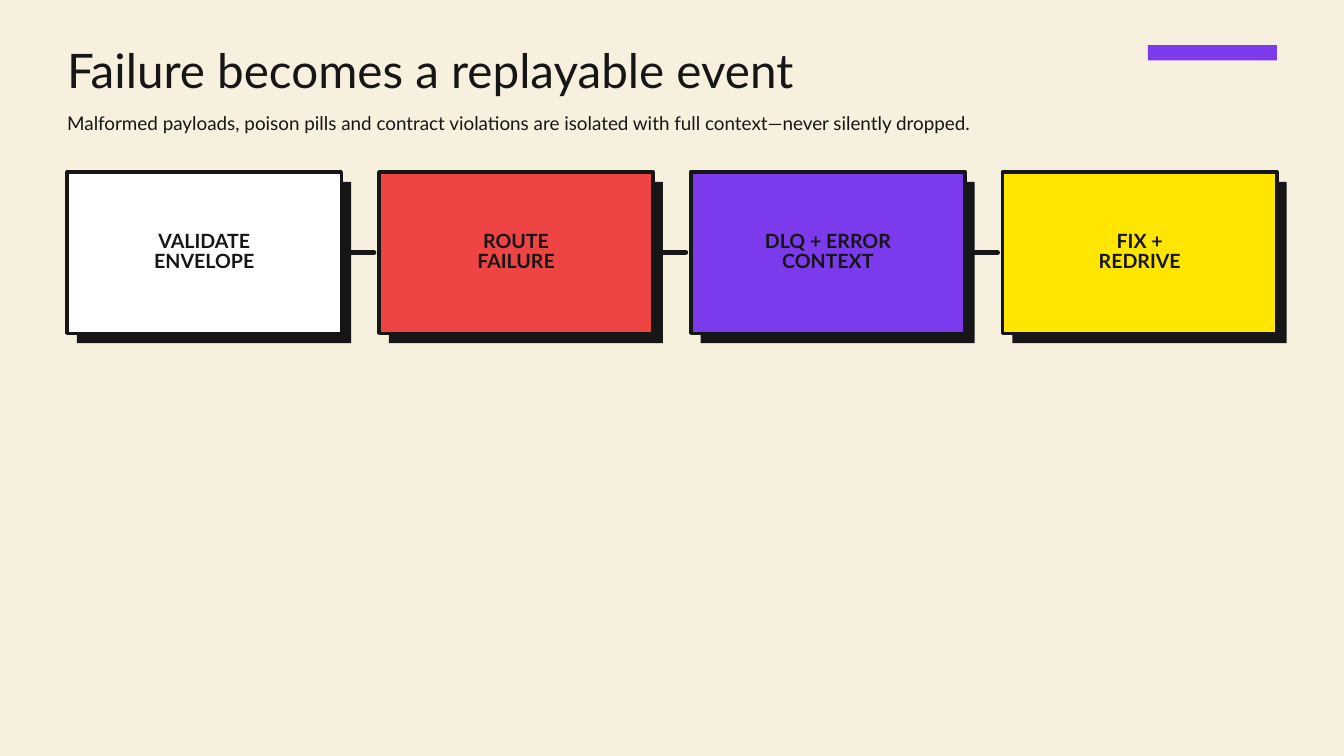
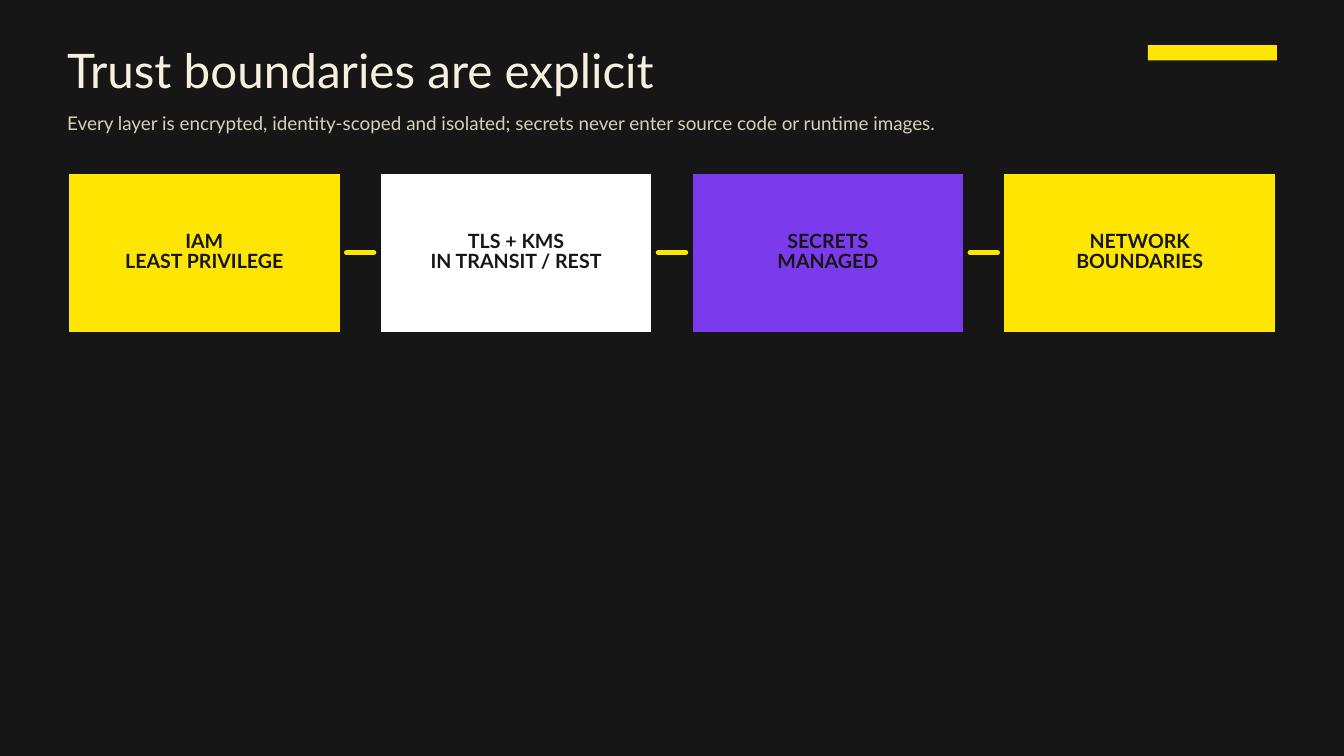
from lxml import etree
from pptx import Presentation
from pptx.dml.color import RGBColor
from pptx.enum.shapes import MSO_CONNECTOR, MSO_SHAPE
from pptx.enum.text import MSO_ANCHOR, MSO_AUTO_SIZE, PP_ALIGN
from pptx.oxml.ns import qn
from pptx.util import Inches, Pt

RECT = MSO_SHAPE.RECTANGLE
STRAIGHT = MSO_CONNECTOR.STRAIGHT
TOP, MIDDLE = MSO_ANCHOR.TOP, MSO_ANCHOR.MIDDLE
LEFT, CENTER = PP_ALIGN.LEFT, PP_ALIGN.CENTER
NO_FIT = MSO_AUTO_SIZE.NONE

INK = RGBColor(0x16, 0x16, 0x16)
CREAM = RGBColor(0xF7, 0xF0, 0xDF)
SAND = RGBColor(0xD7, 0xCF, 0xBD)
WHITE = RGBColor(0xFF, 0xFF, 0xFF)
RED = RGBColor(0xEF, 0x44, 0x44)
PURPLE = RGBColor(0x7C, 0x3A, 0xED)
YELLOW = RGBColor(0xFF, 0xE6, 0x00)

FONT = "Lato"
TITLE_ONLY = 5
MARGIN, CONTENT_W = 1, 18
CARD_W = 4.08
SHADOW_OFFSET = 0.145
LINK_GAP, LINK_W = 0.08, 0.4

SLIDES = [
    dict(
        title="Failure becomes a replayable event",
        subtitle="Malformed payloads, poison pills and contract violations are "
                 "isolated with full context—never silently dropped.",
        bg=CREAM, title_color=INK, subtitle_color=INK, accent=PURPLE, link=INK,
        cards=[(("VALIDATE", "ENVELOPE"), WHITE),
               (("ROUTE", "FAILURE"), RED),
               (("DLQ + ERROR", "CONTEXT"), PURPLE),
               (("FIX +", "REDRIVE"), YELLOW)],
    ),
    dict(
        title="Trust boundaries are explicit",
        subtitle="Every layer is encrypted, identity-scoped and isolated; "
                 "secrets never enter source code or runtime images.",
        bg=INK, title_color=CREAM, subtitle_color=SAND, accent=YELLOW, link=YELLOW,
        cards=[(("IAM", "LEAST PRIVILEGE"), YELLOW),
               (("TLS + KMS", "IN TRANSIT / REST"), WHITE),
               (("SECRETS", "MANAGED"), PURPLE),
               (("NETWORK", "BOUNDARIES"), YELLOW)],
    ),
]


def write(sp, *lines, size, color, leading, bold=False, align=LEFT, anchor=TOP, inset=0):
    """Fill a shape with one formatted paragraph per line."""
    tf = sp.text_frame
    tf.word_wrap = True
    tf.auto_size = NO_FIT
    tf.vertical_anchor = anchor
    tf.margin_left = tf.margin_right = tf.margin_top = tf.margin_bottom = Inches(inset)
    for i, line in enumerate(lines):
        p = tf.add_paragraph() if i else tf.paragraphs[0]
        p.alignment = align
        p.line_spacing = Pt(leading)
        p.space_before = p.space_after = Pt(0)
        r = p.add_run()
        r.text = line
        r.font.name, r.font.size, r.font.bold = FONT, Pt(size), bold
        r.font.color.rgb = color


def add_rect(slide, x, y, w, h, fill, border=None):
    sp = slide.shapes.add_shape(RECT, Inches(x), Inches(y), Inches(w), Inches(h))
    sp.shadow.inherit = False
    sp.fill.solid()
    sp.fill.fore_color.rgb = fill
    if border is None:
        sp.line.fill.background()
    else:
        sp.line.color.rgb = border
        sp.line.width = Pt(3.75)
    return sp


def add_link(slide, x, y, color):
    """Short round-capped dash between two cards."""
    line = slide.shapes.add_connector(
        STRAIGHT, Inches(x), Inches(y), Inches(x + LINK_W), Inches(y))
    line.line.color.rgb = color
    line.line.width = Pt(6)
    line.line._get_or_add_ln().set("cap", "rnd")
    etree.SubElement(line._element.spPr, qn("a:effectLst"))


def add_header(slide, content, x, y, w):
    # Title
    title = slide.shapes.title
    title.left, title.top = Inches(x), Inches(y + 0.07)
    title.width, title.height = Inches(15.62), Inches(0.77)
    write(title, content["title"], size=51, color=content["title_color"], leading=52)
    # Subtitle
    subtitle = slide.shapes.add_textbox(
        Inches(x), Inches(y + 0.97), Inches(15.62), Inches(0.4))
    write(subtitle, content["subtitle"], size=20.2,
          color=content["subtitle_color"], leading=26.3)
    # Accent bar, flush right
    bar_w = 1.92
    add_rect(slide, x + w - bar_w, y, bar_w, 0.23, content["accent"])


def add_card(slide, x, y, w, h, lines, fill):
    add_rect(slide, x + SHADOW_OFFSET, y + SHADOW_OFFSET, w, h, INK)
    card = add_rect(slide, x, y, w, h, fill, border=INK)
    write(card, *lines, size=21, color=INK, leading=22.1, bold=True,
          align=CENTER, anchor=MIDDLE, inset=0.06)
    card.text_frame.margin_bottom = Inches(0.08)


def add_flow(slide, cards, link_color, x, y, w, h):
    step = (w - CARD_W) / (len(cards) - 1)
    for i, (lines, fill) in enumerate(cards):
        left = x + i * step
        add_card(slide, left, y, CARD_W, h, lines, fill)
        if i < len(cards) - 1:
            add_link(slide, left + CARD_W + LINK_GAP, y + h / 2, link_color)


def add_flow_slide(prs, content):
    slide = prs.slides.add_slide(prs.slide_layouts[TITLE_ONLY])
    slide.background.fill.solid()
    slide.background.fill.fore_color.rgb = content["bg"]
    add_header(slide, content, MARGIN, 0.67, CONTENT_W)
    add_flow(slide, content["cards"], content["link"], MARGIN, 2.56, CONTENT_W, 2.4)


def main():
    prs = Presentation()
    prs.slide_width, prs.slide_height = Inches(20), Inches(11.25)
    for content in SLIDES:
        add_flow_slide(prs, content)
    prs.save("out.pptx")


if __name__ == "__main__":
    main()
